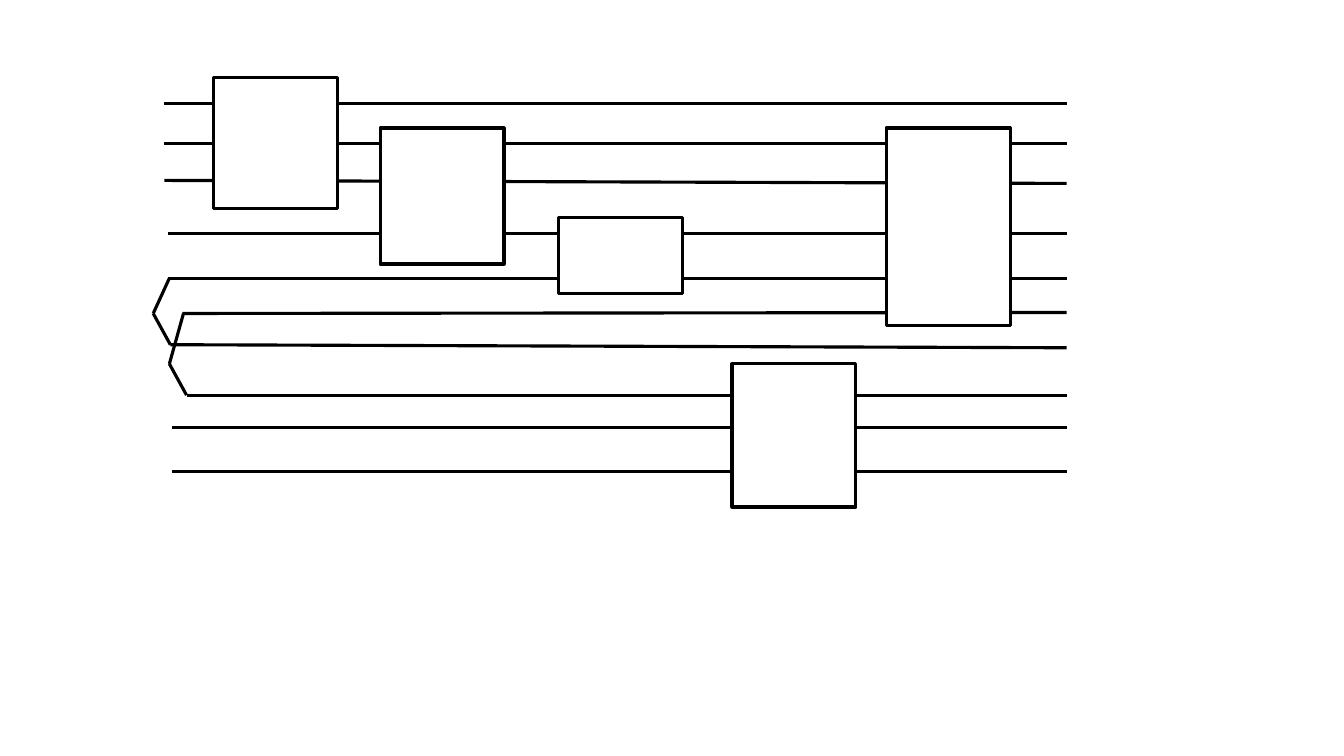
from pptx import Presentation
from pptx import util as u
from pptx.dml.color import RGBColor
from pptx.enum import shapes
from pptx.oxml.ns import qn
from lxml import etree

BLACK = RGBColor(0, 0, 0)
WHITE = RGBColor(255, 255, 255)
SLIDE_W, SLIDE_H = 13.33, 7.5
WIRE_END = 10.58
GATE_W = 1.23
BLANK_LAYOUT = 6

WIRES = [
    (1.63, 1.03, 1.03),
    (1.63, 1.42, 1.42),
    (1.63, 1.79, 1.82),
    (1.67, 2.32, 2.32),
    (1.67, 2.76, 2.76),
    (1.81, 3.11, 3.1),
    (1.69, 3.42, 3.45),
    (1.85, 3.92, 3.92),
    (1.71, 4.24, 4.24),
    (1.71, 4.68, 4.68),
]
GATES = [
    (2.12, 0.77, 1.3),
    (3.77, 1.27, 1.35),
    (5.54, 2.16, 0.75),
    (7.26, 3.61, 1.42),
    (8.79, 1.27, 1.96),
]
CUPS = [
    [(1.68, 2.76), (1.52, 3.11), (1.69, 3.42)],
    [(1.82, 3.11), (1.68, 3.61), (1.85, 3.92)],
]


def style_line(line):
    line.color.rgb = BLACK
    line.width = u.Pt(2.25)


def add_line(s, start, end):
    points = [u.Inches(v) for v in (*start, *end)]
    sp = s.shapes.add_connector(shapes.MSO_CONNECTOR.STRAIGHT, *points)
    style_line(sp.line)
    etree.SubElement(sp._element.spPr, qn("a:effectLst"))


def add_wire(s, left, y_start, y_end):
    add_line(s, (left, y_start), (WIRE_END, y_end))


def add_cup(s, points):
    for start, end in zip(points, points[1:]):
        add_line(s, start, end)


def add_gate(s, left, top, height):
    box = [u.Inches(v) for v in (left, top, GATE_W, height)]
    sp = s.shapes.add_shape(shapes.MSO_SHAPE.RECTANGLE, *box)
    sp.shadow.inherit = False
    sp.fill.solid()
    sp.fill.fore_color.rgb = WHITE
    style_line(sp.line)


def main():
    prs = Presentation()
    prs.slide_width = u.Inches(SLIDE_W)
    prs.slide_height = u.Inches(SLIDE_H)
    s = prs.slides.add_slide(prs.slide_layouts[BLANK_LAYOUT])
    for wire in WIRES:
        add_wire(s, *wire)
    for gate in GATES:
        add_gate(s, *gate)
    for cup in CUPS:
        add_cup(s, cup)
    prs.save("out.pptx")


if __name__ == "__main__":
    main()
